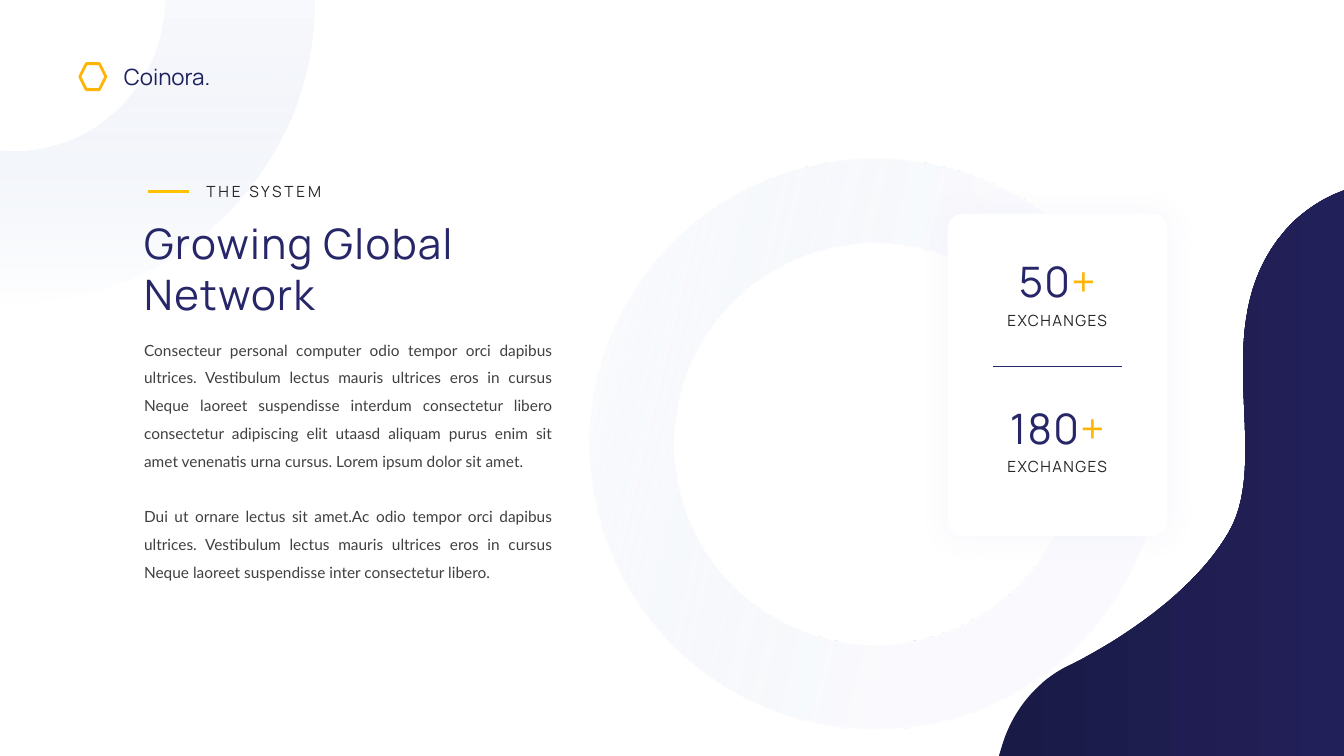
from lxml import etree
from pptx import Presentation
from pptx.dml.color import RGBColor
from pptx.enum.shapes import MSO_CONNECTOR, MSO_SHAPE
from pptx.enum.text import MSO_ANCHOR, MSO_AUTO_SIZE, PP_ALIGN
from pptx.oxml.ns import qn
from pptx.util import Pt

LEFT, CENTER, JUSTIFY = PP_ALIGN.LEFT, PP_ALIGN.CENTER, PP_ALIGN.JUSTIFY
TOP = MSO_ANCHOR.TOP
NO_AUTOFIT = MSO_AUTO_SIZE.NONE
STRAIGHT = MSO_CONNECTOR.STRAIGHT
DONUT, HEXAGON, ROUNDED = MSO_SHAPE.DONUT, MSO_SHAPE.HEXAGON, MSO_SHAPE.ROUNDED_RECTANGLE
TITLE_ONLY = 5

COLORS = {
    "white": "FFFFFF", "navy": "262668", "ink": "262626", "body": "404040",
    "brand": "1D215E", "amber": "FFB506", "gold": "FFC000", "mist": "F9FAFD",
    "haze": "DAE3F3", "night": "1A1A47", "dusk": "222058", "glow": "7373DC",
}
HEADING_FONT, BODY_FONT = "Manrope", "Lato"

CORNER_RING = [
    (117.4, 0), (224.6, 0),
    ((224.6, 119.5), (128.2, 216), (9.4, 216)),
    (0, 215.3), (0, 107.3), (9.4, 108),
    ((68.4, 108), (117.4, 59.8), (117.4, 0)),
]
WAVE = [
    (960, 136), (960, 540), (713.5, 540), (716.4, 530.6),
    ((723.6, 508.3), (739.4, 487.4), (762.5, 475.9)),
    ((762.5, 475.9), (843.8, 438.5), (877.7, 380.2)),
    ((910.8, 322.6), (856.8, 225.4), (923.8, 158.4)),
    ((932.4, 150.5), (941.8, 144), (952.6, 139)),
]
STATISTICS = [("50", "EXCHANGES"), ("180", "EXCHANGES")]
STATISTIC_STEP = 104.4
BODY_PARAGRAPHS = [
    "Consecteur personal computer odio tempor orci dapibus ultrices. Vestibulum lectus "
    "mauris ultrices eros in cursus Neque laoreet suspendisse interdum consectetur libero "
    "consectetur adipiscing elit utaasd aliquam purus enim sit amet venenatis urna cursus. "
    "Lorem ipsum dolor sit amet.",
    "Dui ut ornare lectus sit amet.Ac odio tempor orci dapibus ultrices. Vestibulum lectus "
    "mauris ultrices eros in cursus Neque laoreet suspendisse inter consectetur libero.",
]


def rgb(name):
    return RGBColor.from_string(COLORS[name])


def flatten(segments, steps=32):
    points = []
    for segment in segments:
        if not isinstance(segment[0], tuple):
            points.append(segment)
            continue
        corners = (points[-1], *segment)
        for step in range(1, steps + 1):
            t = step / steps
            weights = ((1 - t) ** 3, 3 * t * (1 - t) ** 2, 3 * t * t * (1 - t), t ** 3)
            points.append(tuple(
                sum(weight * corner[axis] for weight, corner in zip(weights, corners))
                for axis in (0, 1)
            ))
    return points


def write_text(frame, paragraphs, size=11, font=HEADING_FONT, color="ink", align=LEFT,
               line_spacing=None, tracking=0, gap=0):
    frame.word_wrap = True
    frame.auto_size = NO_AUTOFIT
    frame.vertical_anchor = TOP
    for index, runs in enumerate(paragraphs):
        paragraph = frame.add_paragraph() if index else frame.paragraphs[0]
        paragraph.alignment = align
        paragraph.space_before = Pt(gap if index else 0)
        if line_spacing:
            paragraph.line_spacing = line_spacing
        for text, run_color in runs:
            run = paragraph.add_run()
            run.text = text
            run.font.size = Pt(size)
            run.font.name = font
            run.font.color.rgb = rgb(run_color or color)
            if tracking:
                run._r.get_or_add_rPr().set("spc", str(tracking * 100))


class SlideBuilder:
    def __init__(self, slide):
        self.slide = slide
        self.shapes = slide.shapes

    def shape(self, kind, left, top, width, height, fill=None, line=None, weight=1,
              adjustment=None):
        shape = self.shapes.add_shape(kind, Pt(left), Pt(top), Pt(width), Pt(height))
        shape.shadow.inherit = False
        if adjustment is not None:
            shape.adjustments[0] = adjustment
        if fill:
            shape.fill.solid()
            shape.fill.fore_color.rgb = rgb(fill)
        else:
            shape.fill.background()
        if line:
            shape.line.color.rgb = rgb(line)
            shape.line.width = Pt(weight)
        else:
            shape.line.fill.background()
        return shape

    def outline(self, segments):
        points = [(Pt(x), Pt(y)) for x, y in flatten(segments)]
        builder = self.shapes.build_freeform(*points[0])
        builder.add_line_segments(points[1:], close=True)
        shape = builder.convert_to_shape()
        shape.shadow.inherit = False
        shape.line.fill.background()
        return shape

    def gradient(self, shape, stops, angle):
        shape.fill.gradient()
        shape.fill.gradient_angle = -angle % 360
        for stop, (position, color, _) in zip(shape.fill.gradient_stops, stops):
            stop.position = position
            stop.color.rgb = rgb(color)
        tints = shape.element.spPr.findall(".//" + qn("a:gs") + "/" + qn("a:srgbClr"))
        for tint, (_, _, opacity) in zip(tints, stops):
            if opacity < 100:
                etree.SubElement(tint, qn("a:alpha"), val=str(opacity * 1000))

    def glow(self, shape, color, opacity, blur):
        effects = shape.element.spPr.find(qn("a:effectLst"))
        shadow = etree.SubElement(effects, qn("a:outerShdw"), blurRad=str(Pt(blur)),
                                  dist="0", dir="0", algn="ctr", rotWithShape="0")
        tint = etree.SubElement(shadow, qn("a:srgbClr"), val=COLORS[color])
        etree.SubElement(tint, qn("a:alpha"), val=str(opacity * 1000))

    def rule(self, left, right, y, color, weight):
        connector = self.shapes.add_connector(STRAIGHT, Pt(left), Pt(y), Pt(right), Pt(y))
        connector.line.color.rgb = rgb(color)
        connector.line.width = Pt(weight)
        etree.SubElement(connector.element.spPr, qn("a:effectLst"))

    def text(self, left, top, width, height, paragraphs, **style):
        box = self.shapes.add_textbox(Pt(left), Pt(top), Pt(width), Pt(height))
        write_text(box.text_frame, paragraphs, **style)

    def title(self, left, top, width, height, text, **style):
        title = self.shapes.title
        title.left, title.top, title.width, title.height = map(Pt, (left, top, width, height))
        write_text(title.text_frame, [[(text, None)]], **style)
        title.element.getparent().append(title.element)


def main():
    presentation = Presentation()
    presentation.slide_width, presentation.slide_height = Pt(960), Pt(540)
    layout = presentation.slide_layouts[TITLE_ONLY]
    builder = SlideBuilder(presentation.slides.add_slide(layout))

    ring = builder.shape(DONUT, 421.2, 113, 407.5, 407.5, adjustment=0.148)
    ring.rotation = 103.3
    builder.gradient(ring, [(0.41, "mist", 72), (1, "haze", 0)], 90)
    corner = builder.outline(CORNER_RING)
    builder.gradient(corner, [(0, "mist", 100), (1, "haze", 0)], 90)

    card = builder.shape(ROUNDED, 676.8, 152.6, 157, 230.4, fill="white", adjustment=0.071)
    builder.glow(card, "glow", 6, 22)
    for index, (number, label) in enumerate(STATISTICS):
        offset = index * STATISTIC_STEP
        builder.text(694, 216 + offset, 122.4, 22.3, [[(label, None)]],
                     align=CENTER, line_spacing=1.2, tracking=1)
        builder.text(694, 179.3 + offset, 122.4, 43.9, [[(number, None), ("+", "amber")]],
                     size=30, color="navy", align=CENTER, tracking=1)
    builder.rule(709.2, 801.4, 261.4, "navy", 0.5)

    builder.title(95.8, 151.9, 306, 80, "Growing Global Network",
                  size=30, color="navy", tracking=1)
    wave = builder.outline(WAVE)
    builder.gradient(wave, [(0, "night", 100), (1, "dusk", 100)], 0)

    builder.text(140.4, 126.7, 133.2, 20.9, [[("THE SYSTEM", None)]], tracking=2)
    builder.rule(105.4, 135.2, 136.9, "gold", 2.25)
    builder.text(81.4, 41.8, 92.9, 26.6, [[("Coinora.", None)]], size=16, color="brand")
    builder.shape(HEXAGON, 57, 45.5, 18.6, 18.6, line="amber", weight=2)
    builder.text(95.8, 233.3, 306, 185, [[(text, None)] for text in BODY_PARAGRAPHS],
                 font=BODY_FONT, color="body", align=JUSTIFY, line_spacing=1.5, gap=19.8)

    presentation.save("out.pptx")


if __name__ == "__main__":
    main()
